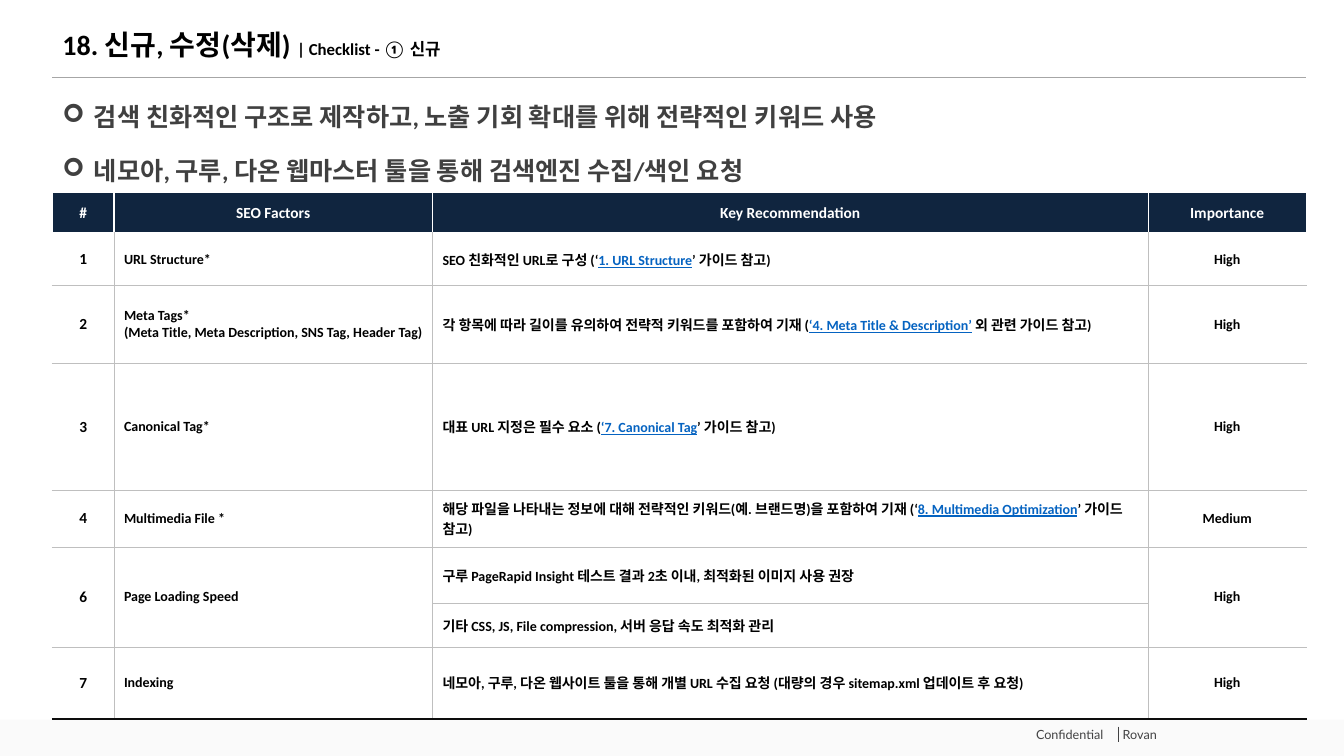
import pptx
import pptx.util
import pptx.dml.color
import pptx.enum.shapes
import pptx.enum.text
import pptx.oxml.ns
import lxml.etree

Pt = pptx.util.Pt
PP_ALIGN = pptx.enum.text.PP_ALIGN
MIDDLE = pptx.enum.text.MSO_ANCHOR.MIDDLE
qn = pptx.oxml.ns.qn
sub = lxml.etree.SubElement


def rgb(color):
    return pptx.dml.color.RGBColor.from_string(color)


def add_text(p, text, size=10, color="000000", font="Calibri", bold=True, underline=False):
    r = p.add_run()
    r.text = text
    r.font.size = Pt(size)
    r.font.name = font
    r.font.bold = bold
    r.font.underline = underline
    r.font.color.rgb = rgb(color)


prs = pptx.Presentation()
prs.slide_width = pptx.util.Inches(13.33)
prs.slide_height = pptx.util.Inches(7.5)
col = prs.slide_width / 100
row = prs.slide_height / 100
left, width = int(3.9 * col), int(93.3 * col)
s = prs.slides.add_slide(prs.slide_layouts[1])

band_top = int(95.2 * row)
band = s.shapes.add_shape(
    pptx.enum.shapes.MSO_SHAPE.RECTANGLE, 0, band_top, prs.slide_width, prs.slide_height - band_top
)
band.shadow.inherit = False
band.fill.solid()
band.fill.fore_color.rgb = rgb("FAFAFA")
band.line.fill.background()

for x1, y1, x2, y2, color, weight in [
    (83.25, 96.1, 83.25, 98.1, "424243", 0.5),
    (3.9, 10.27, 97.2, 10.27, "A6A6A6", 1),
]:
    rule = s.shapes.add_connector(
        pptx.enum.shapes.MSO_CONNECTOR.STRAIGHT,
        int(x1 * col), int(y1 * row), int(x2 * col), int(y2 * row),
    )
    rule.line.color.rgb = rgb(color)
    rule.line.width = Pt(weight)
    sub(rule._element.spPr, qn("a:effectLst"))

footer = s.shapes.add_textbox(int(76.35 * col), int(95.5 * row), int(15.5 * col), int(3.3 * row))
tf = footer.text_frame
tf.word_wrap = True
p = tf.paragraphs[0]
tabs = sub(p._p.get_or_add_pPr(), qn("a:tabLst"))
sub(tabs, qn("a:tab"), pos=str(int(6.45 * col)), algn="l")
add_text(p, "Confidential\tRovan", size=9, color="424243", font="Lato", bold=False)

title = s.shapes.title
title.left, title.top, title.width, title.height = left, int(2.8 * row), width, int(6.8 * row)
tf = title.text_frame
tf.vertical_anchor = MIDDLE
p = tf.paragraphs[0]
p.alignment = PP_ALIGN.LEFT
p.line_spacing = 0.9
add_text(p, "18. 신규, 수정(삭제) ", size=20)
add_text(p, "| Checklist - ① 신규", size=12)

body = s.placeholders[1]
body.left, body.top, body.width, body.height = left, int(11.6 * row), width, int(83.5 * row)
tf = body.text_frame
tf.auto_size = pptx.enum.text.MSO_AUTO_SIZE.NONE
for i, text in enumerate([
    "검색 친화적인 구조로 제작하고, 노출 기회 확대를 위해 전략적인 키워드 사용",
    "네모아, 구루, 다온 웹마스터 툴을 통해 검색엔진 수집/색인 요청",
]):
    p = tf.paragraphs[0] if i == 0 else tf.add_paragraph()
    pPr = p._p.get_or_add_pPr()
    indent = int(2.34 * col)
    pPr.set("marL", str(indent))
    pPr.set("indent", str(-indent))
    sub(pPr, qn("a:buFont"), typeface="Wingdings")
    sub(pPr, qn("a:buChar"), char="➢")
    p.line_spacing = 1.3
    p.space_before = Pt(10 if i else 0)
    add_text(p, text, size=18, color="404040")

col_shares = [4.58, 23.7, 53.25, 11.77]
row_shares = [5.5, 6.9, 10.3, 16.7, 7.6, 7.4, 5.8, 9.5]
checklist = [
    ("#", "SEO Factors", ["Key Recommendation"], "Importance"),
    ("1", "URL Structure*", ["SEO 친화적인 URL로 구성 (‘", "1. URL Structure", "’ 가이드 참고)"], "High"),
    ("2", "Meta Tags*\n(Meta Title, Meta Description, SNS Tag, Header Tag)",
     ["각 항목에 따라 길이를 유의하여 전략적 키워드를 포함하여 기재 (",
      "‘4. Meta Title & Description’", " 외 관련 가이드 참고)"], "High"),
    ("3", "Canonical Tag*", ["대표 URL 지정은 필수 요소 (", "‘7. Canonical Tag", "’ 가이드 참고)"], "High"),
    ("4", "Multimedia File *",
     ["해당 파일을 나타내는 정보에 대해 전략적인 키워드(예. 브랜드명)을 포함하여 기재 (‘",
      "8. Multimedia Optimization", "’ 가이드 참고)"], "Medium"),
    ("6", "Page Loading Speed",
     ["구루 PageRapid Insight 테스트 결과 2초 이내, 최적화된 이미지 사용 권장"], "High"),
    ("", "", ["기타 CSS, JS, File compression, 서버 응답 속도 최적화 관리"], ""),
    ("7", "Indexing",
     ["네모아, 구루, 다온 웹사이트 툴을 통해 개별 URL 수집 요청 (대량의 경우 sitemap.xml 업데이트 후 요청)"], "High"),
]
last_row, last_col = len(checklist) - 1, len(col_shares) - 1
table = s.shapes.add_table(
    len(checklist), len(col_shares), left, int(25.4 * row), width, int(sum(row_shares) * row)
).table
table.first_row = False
table.horz_banding = False
for j, share in enumerate(col_shares):
    table.columns[j].width = int(share * col)
for i, share in enumerate(row_shares):
    table.rows[i].height = int(share * row)

for i, entry in enumerate(checklist):
    for j, content in enumerate(entry):
        cell = table.cell(i, j)
        cell.vertical_anchor = MIDDLE
        header = i == 0
        grid = ("FFFFFF", 1) if header else ("BFBFBF", 0.5)
        edges = {
            "L": grid if j else ("FFFFFF", 1),
            "R": ("FFFFFF", 1) if j == last_col else grid,
            "T": ("FFFFFF", 3) if i == 1 else grid,
            "B": ("FFFFFF", 3) if header else ("0D0D0D", 1.5) if i == last_row else grid,
        }
        tcPr = cell._tc.get_or_add_tcPr()
        for side, (color, weight) in edges.items():
            ln = sub(tcPr, qn("a:ln" + side), w=str(Pt(weight)))
            sub(sub(ln, qn("a:solidFill")), qn("a:srgbClr"), val=color)
        if header:
            cell.fill.solid()
            cell.fill.fore_color.rgb = rgb("10253F")
        else:
            cell.fill.background()
        size = 11 if header or j == 0 else 10
        lines = [content] if j == 2 else [[line] for line in content.split("\n") if line]
        for k, pieces in enumerate(lines):
            p = cell.text_frame.paragraphs[0] if k == 0 else cell.text_frame.add_paragraph()
            p.alignment = PP_ALIGN.CENTER if header or j in (0, last_col) else PP_ALIGN.LEFT
            for n, piece in enumerate(pieces):
                link = n == 1
                color = "FFFFFF" if header else "0563C1" if link else "000000"
                add_text(p, piece, size=size, color=color, underline=link)

for j in (0, 1, last_col):
    table.cell(5, j).merge(table.cell(6, j))

prs.save("out.pptx")
